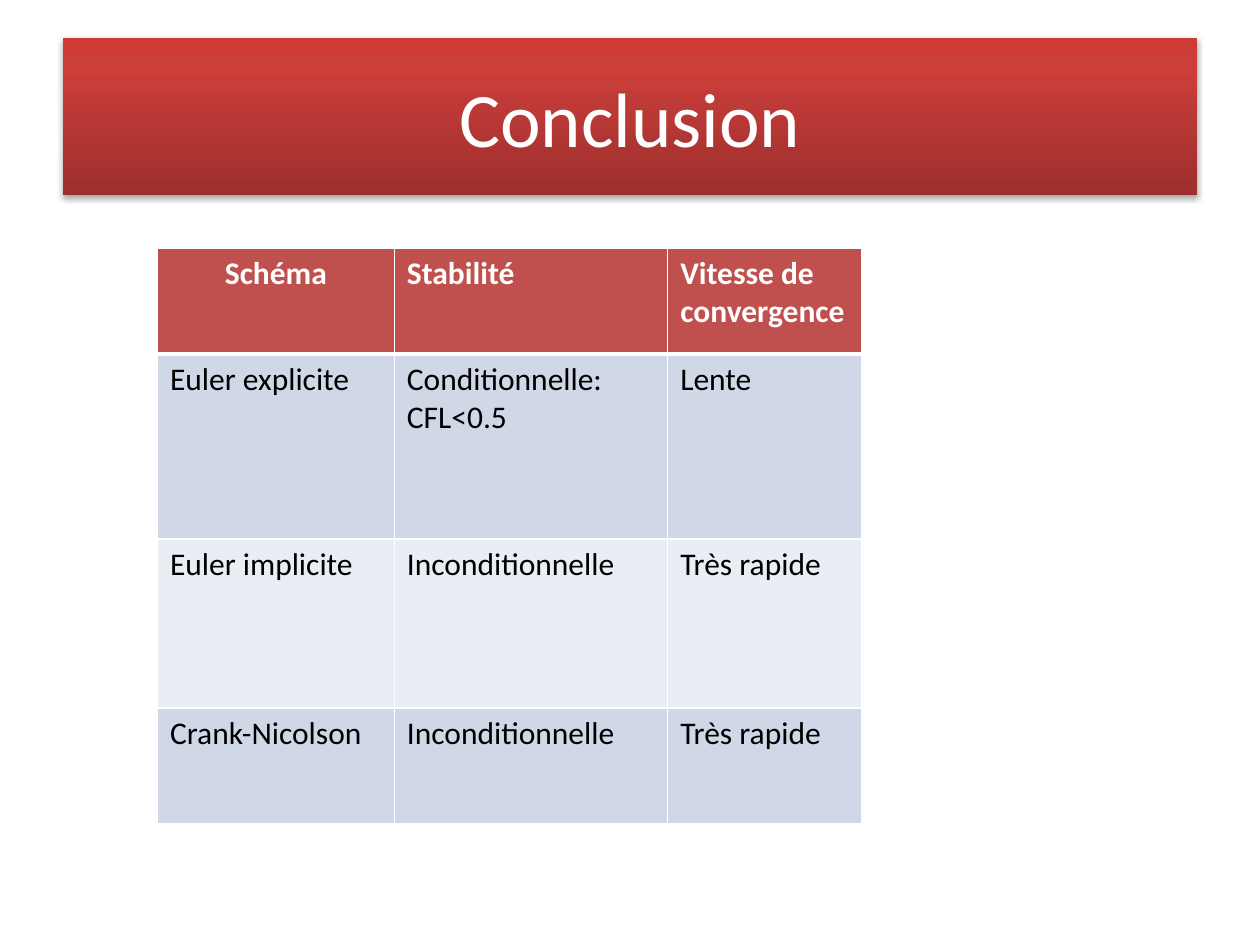
from lxml import etree
from pptx import Presentation
from pptx import util as u
from pptx.dml.color import RGBColor
from pptx.enum import shapes, text
from pptx.oxml.ns import qn

WIDTH, HEIGHT = u.Inches(10), u.Inches(7.5)
FONT = "Calibri"
WHITE, BLACK, RED = "FFFFFF", "000000", "C0504D"
BANDS = ["D0D8E8", "E9EDF4"]
TITLE_STOPS = {0: "9C2F2D", 80: "CB3E3A", 100: "CE3B37"}
COLUMNS = [1.88, 2.17, 1.54]
ROWS = [0.84, 1.47, 1.34, 0.92]
SCHEMES = [
    ["Schéma", "Stabilité", "Vitesse de convergence"],
    ["Euler explicite", "Conditionnelle:\nCFL<0.5", "Lente"],
    ["Euler implicite", "Inconditionnelle", "Très rapide"],
    ["Crank-Nicolson", "Inconditionnelle", "Très rapide"],
]


def color(hex_value):
    return RGBColor.from_string(hex_value)


def add_node(parent, tag, **values):
    node = etree.SubElement(parent, qn(tag))
    for name, value in values.items():
        node.set(name, str(value))
    return node


def write(frame, words, align, ink, **font):
    frame.text = words
    for para in frame.paragraphs:
        para.alignment = align
        para.font.color.rgb = color(ink)
        for name, value in {"name": FONT, **font}.items():
            setattr(para.font, name, value)


def fill_gradient(shape, stops):
    """Blend the stops, given as percent and colour, from bottom to top."""
    shape.fill.gradient()
    shape.fill.gradient_angle = 90
    stop_list = shape._element.spPr.find(qn("a:gradFill")).find(qn("a:gsLst"))
    for old_stop in list(stop_list):
        stop_list.remove(old_stop)
    for percent, hex_value in stops.items():
        stop = add_node(stop_list, "a:gs", pos=percent * 1000)
        add_node(stop, "a:srgbClr", val=hex_value)


def drop_shadow(shape, blur, distance, percent):
    shape.shadow.inherit = False
    effects = shape._element.spPr.find(qn("a:effectLst"))
    shadow = add_node(effects, "a:outerShdw", blurRad=u.Pt(blur), dist=u.Pt(distance),
                      dir=90 * 60000, rotWithShape=0)
    shade = add_node(shadow, "a:srgbClr", val=BLACK)
    add_node(shade, "a:alpha", val=percent * 1000)


def add_title(page, words):
    box = page.shapes.add_shape(shapes.MSO_SHAPE.RECTANGLE, int(WIDTH * 0.05),
                                int(HEIGHT * 0.04), int(WIDTH * 0.9), u.Inches(1.25))
    box.line.fill.background()
    fill_gradient(box, TITLE_STOPS)
    drop_shadow(box, 3.1, 1.8, 35)
    box.text_frame.vertical_anchor = text.MSO_ANCHOR.MIDDLE
    write(box.text_frame, words, text.PP_ALIGN.CENTER, WHITE, size=u.Pt(44))


def set_borders(cell, **widths):
    """Draw white borders; widths are points for the sides L, R, T and B."""
    properties = cell._tc.get_or_add_tcPr()
    for side, width in widths.items():
        line = add_node(properties, f"a:ln{side}", w=u.Pt(width))
        add_node(add_node(line, "a:solidFill"), "a:srgbClr", val=WHITE)


def add_scheme_table(page):
    frame = page.shapes.add_table(len(ROWS), len(COLUMNS), int(WIDTH * 0.125), u.Inches(1.97),
                                  u.Inches(sum(COLUMNS)), u.Inches(sum(ROWS)))
    table = frame.table
    for column, width in zip(table.columns, COLUMNS):
        column.width = u.Inches(width)
    for r, (row, height) in enumerate(zip(table.rows, ROWS)):
        row.height = u.Inches(height)
        header = r == 0
        for c, cell in enumerate(row.cells):
            set_borders(cell, L=1, R=1, T=3 if r == 1 else 1, B=3 if header else 1)
            cell.fill.solid()
            cell.fill.fore_color.rgb = color(RED if header else BANDS[(r - 1) % 2])
            centred = header and c == 0
            write(cell.text_frame, SCHEMES[r][c],
                  text.PP_ALIGN.CENTER if centred else text.PP_ALIGN.LEFT,
                  WHITE if header else BLACK, size=u.Pt(18), bold=header)


def main():
    deck = Presentation()
    deck.slide_width, deck.slide_height = WIDTH, HEIGHT
    page = deck.slides.add_slide(deck.slide_layouts[6])
    add_title(page, "Conclusion")
    add_scheme_table(page)
    deck.save("out.pptx")


if __name__ == "__main__":
    main()
